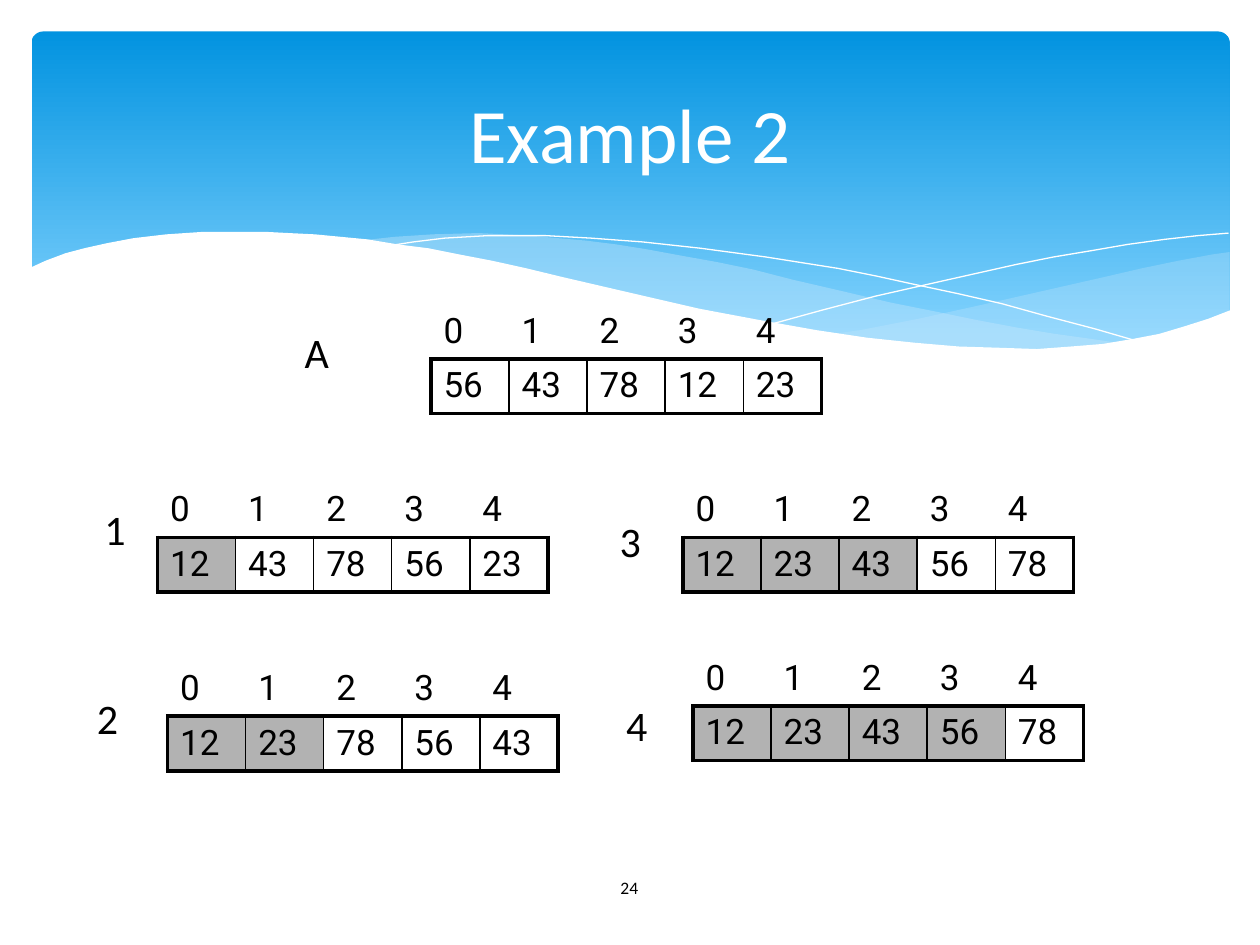
from lxml import etree
from pptx import Presentation
from pptx.dml.color import RGBColor
from pptx.enum.shapes import MSO_SHAPE
from pptx.enum.text import MSO_ANCHOR, MSO_AUTO_SIZE, PP_ALIGN
from pptx.oxml.ns import qn
from pptx.util import Inches, Pt

CENTER, LEFT = PP_ALIGN.CENTER, PP_ALIGN.LEFT
MIDDLE, TOP = MSO_ANCHOR.MIDDLE, MSO_ANCHOR.TOP
ROUNDED = MSO_SHAPE.ROUNDED_RECTANGLE
FIT_SHAPE, NO_FIT = MSO_AUTO_SIZE.SHAPE_TO_FIT_TEXT, MSO_AUTO_SIZE.NONE
TITLE_ONLY = 5
PLAIN_TABLE = "{2D5ABB26-0587-4C30-8999-92F81FD0307C}"
COLORS = {"black": "000000", "white": "FFFFFF", "sorted": "B2B2B2",
          "sky": "0293E0", "pale_sky": "83D3FE", "wave": "C6E7FC"}
COLUMN, ROW = 0.62, 0.43
THICK, THIN = 2.25, 1

RIGHT_WAVE = [
    (9.76, 2), (9.62, 2.02), (9.35, 2.07), (9.06, 2.13), (8.76, 2.2), (8.32, 2.3),
    (7.79, 2.42), (7.29, 2.53), (6.83, 2.62), (6.61, 2.65), (6.91, 2.69),
    (7.19, 2.72), (7.45, 2.75), (7.69, 2.77), (8.03, 2.78), (8.35, 2.77),
    (8.63, 2.75), (8.89, 2.72), (9.13, 2.67), (9.35, 2.62), (9.49, 2.57), (9.76, 2.47)]
MIDDLE_WAVE = [
    (8.93, 2.73), (8.66, 2.69), (8.37, 2.65), (8.07, 2.6), (7.75, 2.54), (7.41, 2.47),
    (7.06, 2.4), (6.68, 2.31), (6.29, 2.22), (5.98, 2.14), (5.69, 2.08), (5.41, 2.03),
    (5.14, 1.98), (4.89, 1.94), (4.65, 1.91), (4.42, 1.89), (4.2, 1.87), (3.8, 1.85),
    (3.44, 1.86), (3.13, 1.88), (2.86, 1.91), (3.23, 1.96), (3.62, 2.03), (4.04, 2.11),
    (4.49, 2.22), (4.91, 2.32), (5.3, 2.4), (5.66, 2.48), (6.01, 2.55), (6.34, 2.61),
    (6.65, 2.66), (6.95, 2.7), (7.22, 2.74), (7.48, 2.76), (7.85, 2.78), (8.28, 2.78),
    (8.57, 2.77), (8.76, 2.75)]
FALLING_LINE = [
    (3.09, 1.95), (3.28, 1.92), (3.53, 1.89), (3.87, 1.87), (4.33, 1.87), (4.69, 1.89),
    (5.1, 1.92), (5.56, 1.97), (6.08, 2.04), (6.65, 2.13), (6.95, 2.19), (7.27, 2.26),
    (7.6, 2.33), (7.95, 2.41), (8.31, 2.51), (8.69, 2.61), (9.07, 2.72)]
RISING_LINE = [
    (6.13, 2.57), (6.53, 2.46), (6.95, 2.35), (7.48, 2.23), (8.06, 2.1), (8.36, 2.04),
    (8.66, 1.99), (8.95, 1.94), (9.24, 1.9), (9.51, 1.87), (9.75, 1.85)]
WHITE_WAVE = [
    (9.77, 2.46), (9.59, 2.53), (9.4, 2.59), (9.2, 2.65), (8.99, 2.69), (8.75, 2.73),
    (8.5, 2.75), (8.23, 2.77), (7.93, 2.76), (7.61, 2.75), (7.26, 2.72), (6.88, 2.68),
    (6.48, 2.62), (6.03, 2.54), (5.55, 2.45), (5.03, 2.33), (4.47, 2.2), (4.18, 2.13),
    (3.91, 2.07), (3.65, 2.02), (3.4, 1.97), (3.16, 1.94), (2.92, 1.9), (2.71, 1.88),
    (2.5, 1.86), (2.3, 1.85), (2.11, 1.84), (1.61, 1.84), (1.32, 1.86), (1.06, 1.89),
    (0.85, 1.93), (0.67, 1.97), (0.52, 2.01), (0.36, 2.07), (0.23, 2.13),
    (0.23, 3.29), (9.77, 3.29)]

# label, label position, table position, values, number of sorted cells
STEPS = [
    ("A", (2.32, 2.54), (3.42, 2.42), (56, 43, 78, 12, 23), 0),
    ("1", (0.73, 3.95), (1.25, 3.83), (12, 43, 78, 56, 23), 1),
    ("2", (0.67, 5.45), (1.33, 5.25), (12, 23, 78, 56, 43), 2),
    ("3", (4.82, 4.04), (5.42, 3.83), (12, 23, 43, 56, 78), 3),
    ("4", (4.87, 5.5), (5.5, 5.17), (12, 23, 43, 56, 78), 4),
]


def rgb(name):
    return RGBColor.from_string(COLORS[name])


class Deck:
    """Holds the text style and the current slide."""

    font = {"name": "Calibri", "size": Pt(24)}

    def __init__(self, prs):
        self.s = prs.slides.add_slide(prs.slide_layouts[TITLE_ONLY])

    def add_words(self, tf, text, color="black", align=LEFT, **font):
        p = tf.paragraphs[0]
        p.alignment = align
        r = p.add_run()
        r.text = str(text)
        for key, value in {**self.font, **font}.items():
            setattr(r.font, key, value)
        r.font.color.rgb = rgb(color)

    def title(self, text, x, y, w, h):
        sp = self.s.shapes.title
        box = {"left": x, "top": y, "width": w, "height": h}
        for key, value in box.items():
            setattr(sp, key, Inches(value))
        sp.text_frame.vertical_anchor = MIDDLE
        sp.text_frame.auto_size = NO_FIT
        self.add_words(sp.text_frame, text, "white", CENTER, size=Pt(44))
        self.s.shapes._spTree.append(sp._element)  # in front of the banner

    def text(self, text, x, y, w, h, wrap=False, anchor=TOP, **style):
        tf = self.s.shapes.add_textbox(*map(Inches, (x, y, w, h))).text_frame
        frame = {"word_wrap": wrap, "vertical_anchor": anchor,
                 "auto_size": NO_FIT if wrap else FIT_SHAPE}
        for key, value in frame.items():
            setattr(tf, key, value)
        self.add_words(tf, text, **style)

    def banner(self, x, y, w, h):
        sp = self.s.shapes.add_shape(ROUNDED, *map(Inches, (x, y, w, h)))
        sp.adjustments[0] = 0.034
        sp.shadow.inherit = False
        sp.line.fill.background()
        sp.fill.gradient()
        sp.fill.gradient_angle = 270
        stops = ((0, "sky"), (0.9, "pale_sky"))
        for stop, (position, color) in zip(sp.fill.gradient_stops, stops):
            stop.position = position
            stop.color.rgb = rgb(color)

    def outline(self, points, closed):
        (x, y), *rest = [tuple(map(Inches, point)) for point in points]
        builder = self.s.shapes.build_freeform(x, y)
        builder.add_line_segments(rest, close=closed)
        sp = builder.convert_to_shape()
        sp.shadow.inherit = False
        return sp

    def wave(self, points, color, opacity=100):
        sp = self.outline(points, True)
        sp.line.fill.background()
        sp.fill.solid()
        sp.fill.fore_color.rgb = rgb(color)
        if opacity < 100:
            clr = sp._element.spPr.find(".//" + qn("a:srgbClr"))
            etree.SubElement(clr, qn("a:alpha"), val=str(opacity * 1000))

    def hairline(self, points):
        sp = self.outline(points, False)
        sp.fill.background()
        sp.line.color.rgb = rgb("white")
        sp.line.width = 0

    def borders(self, cell, **widths):
        tcPr = cell._tc.get_or_add_tcPr()
        for side, width in widths.items():
            ln = etree.SubElement(tcPr, qn("a:ln" + side), w=str(Pt(width)))
            fill = etree.SubElement(ln, qn("a:solidFill"))
            etree.SubElement(fill, qn("a:srgbClr"), val=COLORS["black"])

    def array(self, values, x, y, sorted_count):
        """Draw indices above boxed values, with the sorted ones shaded."""
        n = len(values)
        frame = self.s.shapes.add_table(
            2, n, *map(Inches, (x, y, n * COLUMN, 2 * ROW)))
        table = frame.table
        table.first_row = table.horz_banding = False
        table._tbl.tblPr.find(qn("a:tableStyleId")).text = PLAIN_TABLE
        for row in table.rows:
            row.height = Inches(ROW)
        for i, value in enumerate(values):
            table.columns[i].width = Inches(COLUMN)
            index, box = table.cell(0, i), table.cell(1, i)
            self.borders(index, B=THICK)
            self.borders(box, L=THIN if i else THICK,
                         R=THIN if i < n - 1 else THICK, T=THICK, B=THICK)
            for cell, text in ((index, i), (box, value)):
                cell.fill.background()
                self.add_words(cell.text_frame, text, name="Roboto", size=Pt(20))
            if i < sorted_count:
                box.fill.solid()
                box.fill.fore_color.rgb = rgb("sorted")


def main():
    prs = Presentation()
    prs.slide_width, prs.slide_height = Inches(10), Inches(7.5)
    deck = Deck(prs)
    deck.banner(0.25, 0.25, 9.51, 2.7)
    deck.wave(RIGHT_WAVE, "wave", 29)
    deck.wave(MIDDLE_WAVE, "wave", 40)
    deck.hairline(FALLING_LINE)
    deck.hairline(RISING_LINE)
    deck.wave(WHITE_WAVE, "white")
    deck.text("24", 4.36, 6.84, 1.27, 0.4, wrap=True, anchor=MIDDLE,
              align=CENTER, size=Pt(10))
    deck.title("Example 2", 0.5, 0.37, 9, 1.37)
    for label, label_at, array_at, values, sorted_count in STEPS:
        deck.array(values, *array_at, sorted_count)
        deck.text(label, *label_at, 0.4 if label == "A" else 0.38, 0.5)
    prs.save("out.pptx")


if __name__ == "__main__":
    main()
